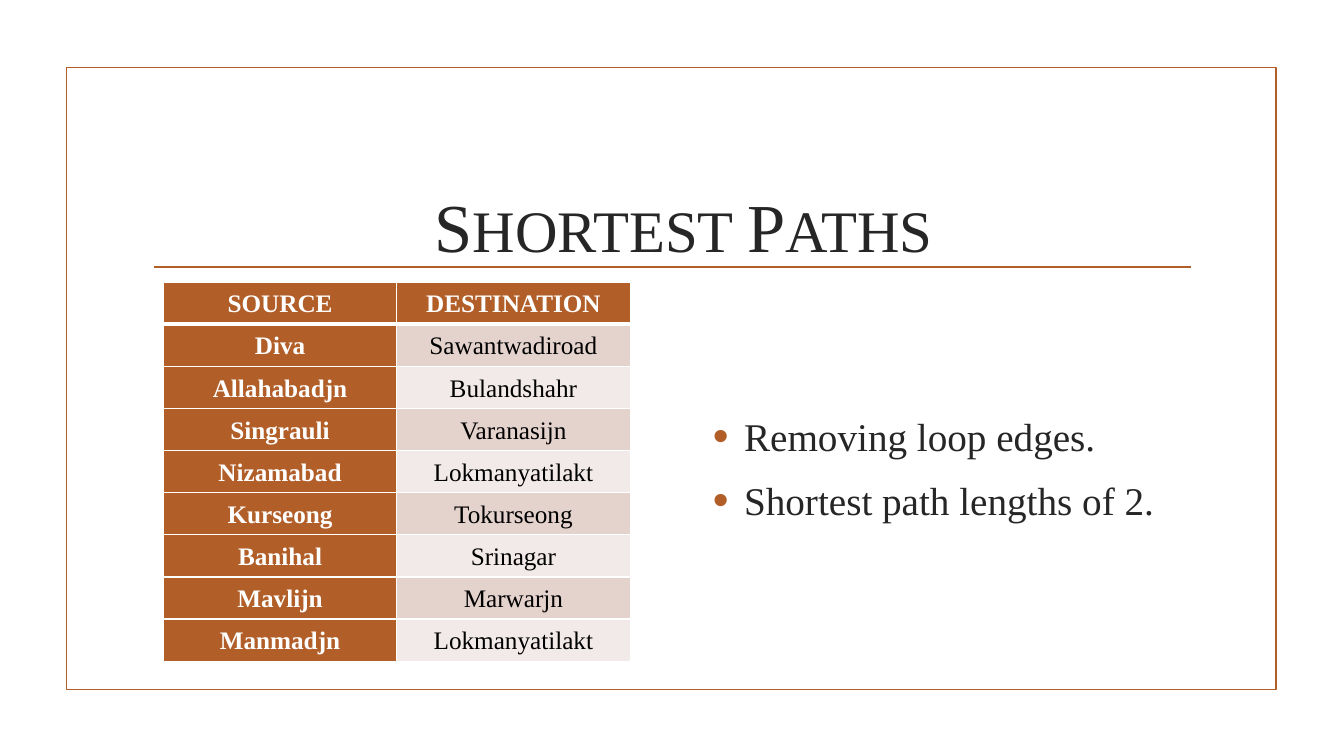
from lxml import etree
from pptx import Presentation
from pptx.dml.color import RGBColor
from pptx.enum.shapes import MSO_CONNECTOR, MSO_SHAPE
from pptx.enum.text import MSO_ANCHOR as Anchor, MSO_AUTO_SIZE as AutoSize, PP_ALIGN as Align
from pptx.oxml import parse_xml
from pptx.oxml.ns import nsdecls, qn
from pptx.util import Inches, Pt

FONT = "Times New Roman"
RUST = RGBColor(0xB1, 0x5E, 0x28)
INK = RGBColor(0x26, 0x26, 0x26)
WHITE = RGBColor(0xFF, 0xFF, 0xFF)
BLACK = RGBColor(0, 0, 0)
BANDS = [RGBColor(0xE4, 0xD2, 0xCD), RGBColor(0xF2, 0xEA, 0xE8)]

ROUTES = [
    ("SOURCE", "DESTINATION"),
    ("Diva", "Sawantwadiroad"),
    ("Allahabadjn", "Bulandshahr"),
    ("Singrauli", "Varanasijn"),
    ("Nizamabad", "Lokmanyatilakt"),
    ("Kurseong", "Tokurseong"),
    ("Banihal", "Srinagar"),
    ("Mavlijn", "Marwarjn"),
    ("Manmadjn", "Lokmanyatilakt"),
]
FINDINGS = ["Removing loop edges.", "Shortest path lengths of 2."]


def place(shape, box):
    shape.left, shape.top, shape.width, shape.height = map(Inches, box)


def set_font(font, size, color, bold=False):
    font.name, font.size, font.bold = FONT, Pt(size), bold
    font.color.rgb = color


def add_frame(slide, box):
    frame = slide.shapes.add_shape(MSO_SHAPE.RECTANGLE, *map(Inches, box))
    frame.shadow.inherit = False
    frame.fill.background()
    frame.line.color.rgb = RUST
    frame.line.width = Pt(1.25)


def add_title(slide, box):
    title = slide.shapes.title
    place(title, box)
    text = title.text_frame
    text.auto_size = AutoSize.NONE
    text.word_wrap = True
    text.vertical_anchor = Anchor.MIDDLE
    text.margin_top = Inches(0.19)
    para = text.paragraphs[0]
    para.alignment = Align.CENTER
    # Large initials with smaller capitals
    for words, size in [("S", 49), ("HORTEST ", 42), ("P", 49), ("ATHS", 42)]:
        span = para.add_run()
        span.text = words
        set_font(span.font, size, INK)

    # Rule under the title
    left, top, width, height = box
    rule_y = Inches(top + 1.2)
    rule = slide.shapes.add_connector(
        MSO_CONNECTOR.STRAIGHT, Inches(left), rule_y, Inches(left + 10.28), rule_y)
    rule.line.color.rgb = RUST
    rule.line.width = Pt(1.25)
    etree.SubElement(rule._element.spPr, qn("a:effectLst"))


def set_borders(cell, bottom_width):
    properties = cell._tc.get_or_add_tcPr()
    for side, width in [("L", 1), ("R", 1), ("T", 1), ("B", bottom_width)]:
        properties.append(parse_xml(
            f'<a:ln{side} {nsdecls("a")} w="{Pt(width)}"><a:solidFill>'
            f'<a:srgbClr val="{WHITE}"/></a:solidFill></a:ln{side}>'))


def add_routes(slide, box):
    table = slide.shapes.add_table(len(ROUTES), 2, *map(Inches, box)).table
    table.first_col = True
    for r, route in enumerate(ROUTES):
        for c, station in enumerate(route):
            cell = table.cell(r, c)
            heading = r == 0 or c == 0
            set_borders(cell, 3 if r == 0 else 1)
            cell.fill.solid()
            cell.fill.fore_color.rgb = RUST if heading else BANDS[(r - 1) % 2]
            cell.vertical_anchor = Anchor.MIDDLE
            cell.margin_left = cell.margin_right = Inches(0.04)
            cell.margin_top = cell.margin_bottom = Inches(0.04)
            cell.text = station
            para = cell.text_frame.paragraphs[0]
            para.alignment = Align.CENTER
            para.line_spacing = 1.07
            para.space_after = Pt(8)
            set_font(para.font, 18, WHITE if heading else BLACK, heading)


def add_bullet(para):
    properties = para._p.get_or_add_pPr()
    properties.set("marL", str(Inches(0.31)))
    properties.set("indent", str(-Inches(0.31)))
    color = etree.SubElement(properties, qn("a:buClr"))
    etree.SubElement(color, qn("a:srgbClr"), val=str(RUST))
    etree.SubElement(properties, qn("a:buSzPct"), val="115000")
    etree.SubElement(properties, qn("a:buFont"), typeface="Arial")
    etree.SubElement(properties, qn("a:buChar"), char="•")


def add_findings(slide, box):
    body = slide.placeholders[1]
    place(body, box)
    text = body.text_frame
    text.text = "\n".join(FINDINGS)
    text.auto_size = AutoSize.NONE
    text.word_wrap = True
    text.vertical_anchor = Anchor.TOP
    for para in text.paragraphs:
        para.space_before = Pt(6)
        para.space_after = Pt(6)
        add_bullet(para)
        set_font(para.font, 28, INK)


def main():
    deck = Presentation()
    deck.slide_width, deck.slide_height = Inches(13.33), Inches(7.5)
    slide = deck.slides.add_slide(deck.slide_layouts[1])
    add_frame(slide, (0.66, 0.67, 12, 6.17))
    add_title(slide, (1.53, 1.45, 10.5, 1.43))
    add_routes(slide, (1.62, 2.8, 4.63, 3.76))
    add_findings(slide, (6.97, 4.04, 5.16, 3.62))
    deck.save("out.pptx")


if __name__ == "__main__":
    main()
